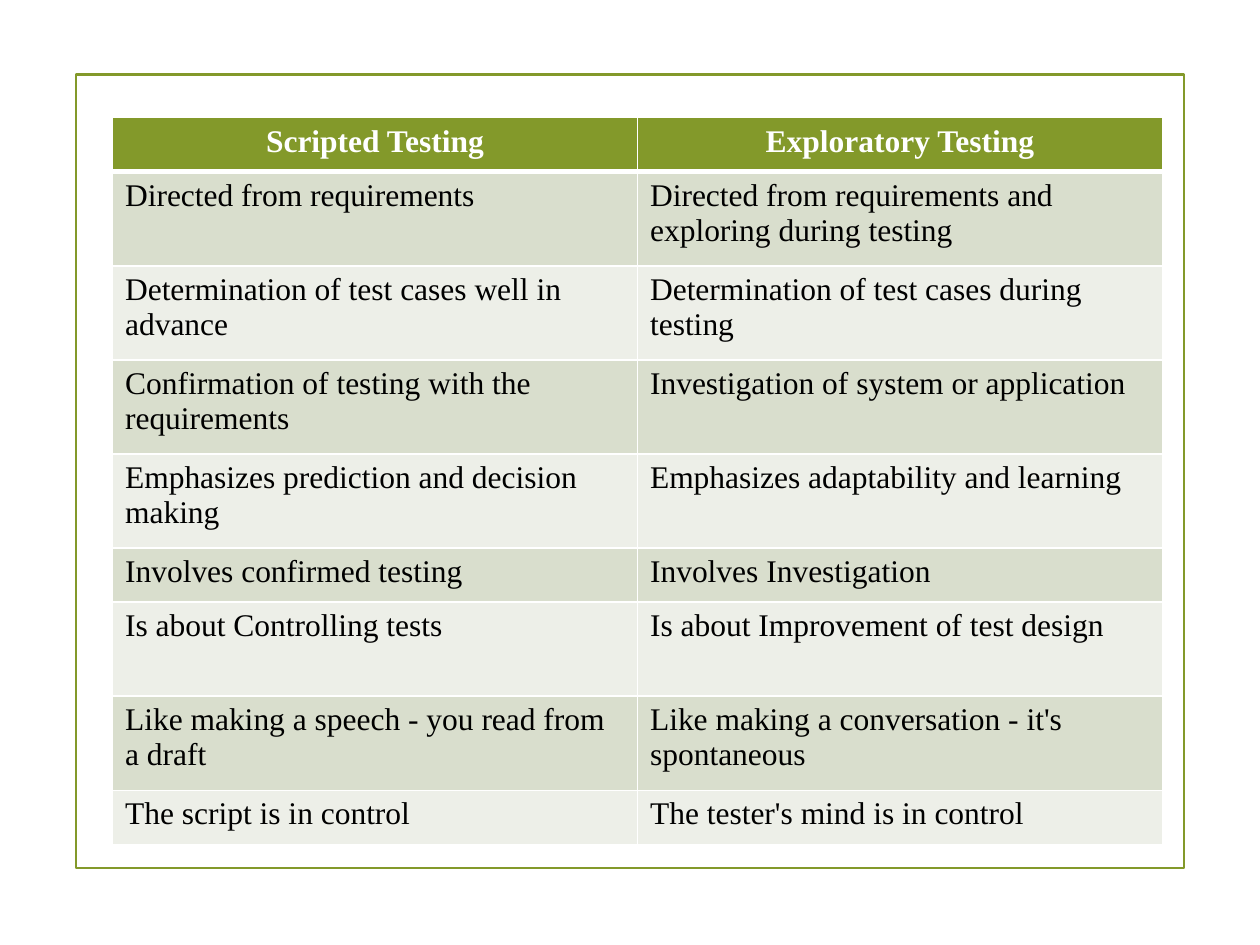
from lxml import etree
from pptx import Presentation
from pptx.dml.color import RGBColor
from pptx.enum import shapes, text
from pptx.oxml import ns
from pptx.util import Pt

FONT = "Times New Roman"
COLORS = {
    "green": "83992A",
    "dark_band": "D9DECD",
    "light_band": "EDEFE8",
    "white": "FFFFFF",
    "black": "000000",
}
ONE_LINE, TWO_LINES = 30.96, 53.76  # row heights in points

HEADER = ("Scripted Testing", "Exploratory Testing")
COMPARISONS = [
    (TWO_LINES, "Directed from requirements",
     "Directed from requirements and exploring during testing"),
    (TWO_LINES, "Determination of test cases well in advance",
     "Determination of test cases during testing"),
    (TWO_LINES, "Confirmation of testing with the requirements",
     "Investigation of system or application"),
    (TWO_LINES, "Emphasizes prediction and decision making",
     "Emphasizes adaptability and learning"),
    (ONE_LINE, "Involves confirmed testing", "Involves Investigation"),
    (TWO_LINES, "Is about Controlling tests",
     "Is about Improvement of test design"),
    (TWO_LINES, "Like making a speech - you read from a draft",
     "Like making a conversation - it's spontaneous"),
    (ONE_LINE, "The script is in control", "The tester's mind is in control"),
]


def color(name):
    return RGBColor.from_string(COLORS[name])


def add_frame(slide, left, top, width, height):
    frame = slide.shapes.add_shape(
        shapes.MSO_SHAPE.RECTANGLE, Pt(left), Pt(top), Pt(width), Pt(height))
    frame.shadow.inherit = False
    frame.fill.background()
    frame.line.color.rgb = color("green")
    frame.line.width = Pt(1.25)


def set_border(cell, side, width):
    properties = cell._tc.get_or_add_tcPr()
    line = etree.SubElement(properties, ns.qn(f"a:ln{side}"), w=str(Pt(width)))
    fill = etree.SubElement(line, ns.qn("a:solidFill"))
    etree.SubElement(fill, ns.qn("a:srgbClr"), val=COLORS["white"])


def fill_cell(cell, words, fill, is_header, top_border, bottom_border):
    # Borders come before the fill in the cell properties
    for side, width in (("L", 1), ("R", 1),
                        ("T", top_border), ("B", bottom_border)):
        set_border(cell, side, width)
    cell.fill.solid()
    cell.fill.fore_color.rgb = color(fill)
    cell.text_frame.text = words
    paragraph = cell.text_frame.paragraphs[0]
    paragraph.alignment = (
        text.PP_ALIGN.CENTER if is_header else text.PP_ALIGN.LEFT)
    font = paragraph.runs[0].font
    font.name = FONT
    font.size = Pt(18)
    font.bold = is_header
    font.color.rgb = color("white" if is_header else "black")


def add_comparison_table(slide, left, top, width):
    rows = [(ONE_LINE, *HEADER)] + COMPARISONS
    height = sum(row[0] for row in rows)
    table = slide.shapes.add_table(
        len(rows), len(HEADER), Pt(left), Pt(top), Pt(width), Pt(height)).table
    for column in table.columns:
        column.width = Pt(width / len(HEADER))
    for index, (row_height, *words) in enumerate(rows):
        table.rows[index].height = Pt(row_height)
        is_header = index == 0
        band = "dark_band" if index % 2 else "light_band"
        for column_index, cell_words in enumerate(words):
            fill_cell(table.cell(index, column_index), cell_words,
                      "green" if is_header else band, is_header,
                      top_border=3 if index == 1 else 1,
                      bottom_border=3 if is_header else 1)


def main():
    presentation = Presentation()
    presentation.slide_width = Pt(720)
    presentation.slide_height = Pt(540)
    slide = presentation.slides.add_slide(presentation.slide_layouts[6])

    # Border around the page
    add_frame(slide, 43.6, 42.6, 633, 453.4)

    # Scripted against exploratory testing
    add_comparison_table(slide, 64.3, 67.2, 600)

    presentation.save("out.pptx")


if __name__ == "__main__":
    main()
